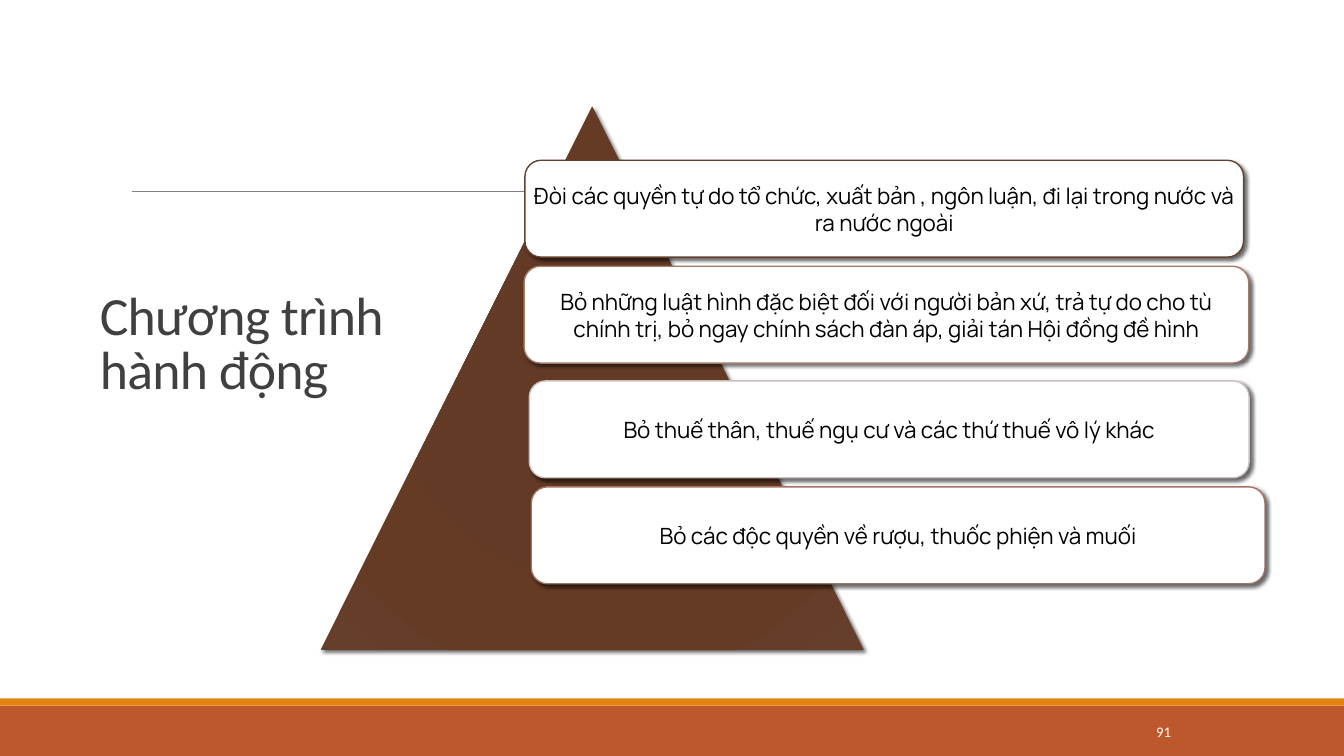
from dataclasses import dataclass

import pptx
import pptx.dml.color
import pptx.enum.shapes
import pptx.enum.text
import pptx.oxml
import pptx.oxml.ns
import pptx.util

Cm = pptx.util.Cm
Pt = pptx.util.Pt
SHAPES = pptx.enum.shapes.MSO_SHAPE
ANCHOR = pptx.enum.text.MSO_ANCHOR
ALIGN = pptx.enum.text.PP_ALIGN
NAMESPACE = pptx.oxml.ns.nsdecls("a")

COLOURS = {
    "white": "FFFFFF",
    "black": "000000",
    "title": "404040",
    "rule": "808080",
    "footer": "BD582C",
    "strip": "E48312",
}
PYRAMID_STOPS = {0: "643925", 34: "633A26", 70: "663B25", 100: "663F2C"}

SLIDE_WIDTH, SLIDE_HEIGHT = 33.87, 19.05
CARD_HEIGHT = 2.44


@dataclass
class Card:
    left: float
    top: float
    width: float
    border: str
    text: str


CARDS = [
    Card(13.23, 4.04, 18.11, "63402F",
         "Đòi các quyền tự do tổ chức, xuất bản , ngôn luận, đi lại trong nước và ra nước ngoài"),
    Card(13.21, 6.71, 18.26, "A37A6B",
         "Bỏ những luật hình đặc biệt đối với người bản xứ, trả tự do cho tù chính trị, "
         "bỏ ngay chính sách đàn áp, giải tán Hội đồng đề hình"),
    Card(13.34, 9.6, 18.14, "CBC1BE",
         "Bỏ thuế thân, thuế ngụ cư và các thứ thuế vô lý khác"),
    Card(13.39, 12.27, 18.49, "A27464",
         "Bỏ các độc quyền về rượu, thuốc phiện và muối"),
]


def colour(value: str) -> pptx.dml.color.RGBColor:
    return pptx.dml.color.RGBColor.from_string(value)


def add_block(slide, kind, left: float, top: float, width: float, height: float, fill: str = ""):
    block = slide.shapes.add_shape(kind, Cm(left), Cm(top), Cm(width), Cm(height))
    block.shadow.inherit = False
    block.line.fill.background()
    if fill:
        block.fill.solid()
        block.fill.fore_color.rgb = colour(fill)
    return block


def add_shadow(block) -> None:
    effects = block._element.spPr.find(pptx.oxml.ns.qn("a:effectLst"))
    effects.append(pptx.oxml.parse_xml(
        f'<a:outerShdw {NAMESPACE} blurRad="{Pt(3)}" dist="{Pt(2)}" dir="2700000" rotWithShape="0">'
        f'<a:srgbClr val="{COLOURS["black"]}"><a:alpha val="60000"/></a:srgbClr></a:outerShdw>'))


def write(box, text: str, font: str, size: float, fill: str, align, anchor):
    frame = box.text_frame
    frame.text = text
    frame.word_wrap = True
    frame.vertical_anchor = anchor
    para = frame.paragraphs[0]
    para.alignment = align
    span = para.runs[0]
    span.font.name = font
    span.font.size = Pt(size)
    span.font.color.rgb = colour(fill)
    return para


def add_backdrop(slide) -> None:
    add_block(slide, SHAPES.RECTANGLE, 0, 17.78, SLIDE_WIDTH, 1.27, COLOURS["footer"])
    add_block(slide, SHAPES.RECTANGLE, 0, 17.6, SLIDE_WIDTH, 0.18, COLOURS["strip"])
    rule = slide.shapes.add_connector(
        pptx.enum.shapes.MSO_CONNECTOR.STRAIGHT, Cm(3.33), Cm(4.83), Cm(31.01), Cm(4.83))
    rule.line.color.rgb = colour(COLOURS["rule"])
    rule.line.width = Pt(0.5)
    rule._element.spPr.append(pptx.oxml.parse_xml(f"<a:effectLst {NAMESPACE}/>"))


def add_title(slide) -> None:
    title = slide.shapes.title
    title.left, title.top, title.width, title.height = Cm(2.26), Cm(7.92), Cm(8.61), Cm(2.31)
    para = write(title, "Chương trình hành động", "Calibri", 38.4, COLOURS["title"],
                 ALIGN.LEFT, ANCHOR.BOTTOM)
    title.text_frame.auto_size = pptx.enum.text.MSO_AUTO_SIZE.NONE
    para.line_spacing = 0.85
    para.runs[0].font._element.set("spc", "-50")


def add_page_number(slide) -> None:
    box = slide.shapes.add_textbox(Cm(27.51), Cm(17.93), Cm(3.63), Cm(1.02))
    write(box, "91", "Calibri", 10.5, COLOURS["white"], ALIGN.CENTER, ANCHOR.MIDDLE)


def add_pyramid(slide) -> None:
    pyramid = add_block(slide, SHAPES.ISOSCELES_TRIANGLE, 8.08, 2.69, 13.69, 13.69)
    stops = "".join(f'<a:gs pos="{position * 1000}"><a:srgbClr val="{value}"/></a:gs>'
                    for position, value in PYRAMID_STOPS.items())
    gradient = pptx.oxml.parse_xml(
        f'<a:gradFill {NAMESPACE} rotWithShape="1"><a:gsLst>{stops}</a:gsLst><a:path path="circle">'
        '<a:fillToRect l="100000" t="100000" r="100000" b="100000"/></a:path></a:gradFill>')
    pyramid._element.spPr.find(pptx.oxml.ns.qn("a:prstGeom")).addnext(gradient)
    add_shadow(pyramid)


def add_card(slide, card: Card) -> None:
    box = add_block(slide, SHAPES.ROUNDED_RECTANGLE, card.left, card.top, card.width,
                    CARD_HEIGHT, COLOURS["white"])
    box.line.color.rgb = colour(card.border)
    box.line.width = Pt(1)
    add_shadow(box)
    frame = box.text_frame
    # The rounded outline already insets its text area by about 0.12 cm
    frame.margin_left = frame.margin_right = Cm(0.06)
    frame.margin_top = frame.margin_bottom = Cm(0.06)
    write(box, card.text, "Manrope", 16, COLOURS["black"], ALIGN.CENTER, ANCHOR.MIDDLE)


def main() -> None:
    deck = pptx.Presentation()
    deck.slide_width, deck.slide_height = Cm(SLIDE_WIDTH), Cm(SLIDE_HEIGHT)
    page = deck.slides.add_slide(deck.slide_layouts[5])  # title only

    # Footer bars, rule, title and page number
    add_backdrop(page)
    add_title(page)
    add_page_number(page)

    # Pyramid with its list of demands
    add_pyramid(page)
    for card in CARDS:
        add_card(page, card)

    deck.save("out.pptx")


if __name__ == "__main__":
    main()
